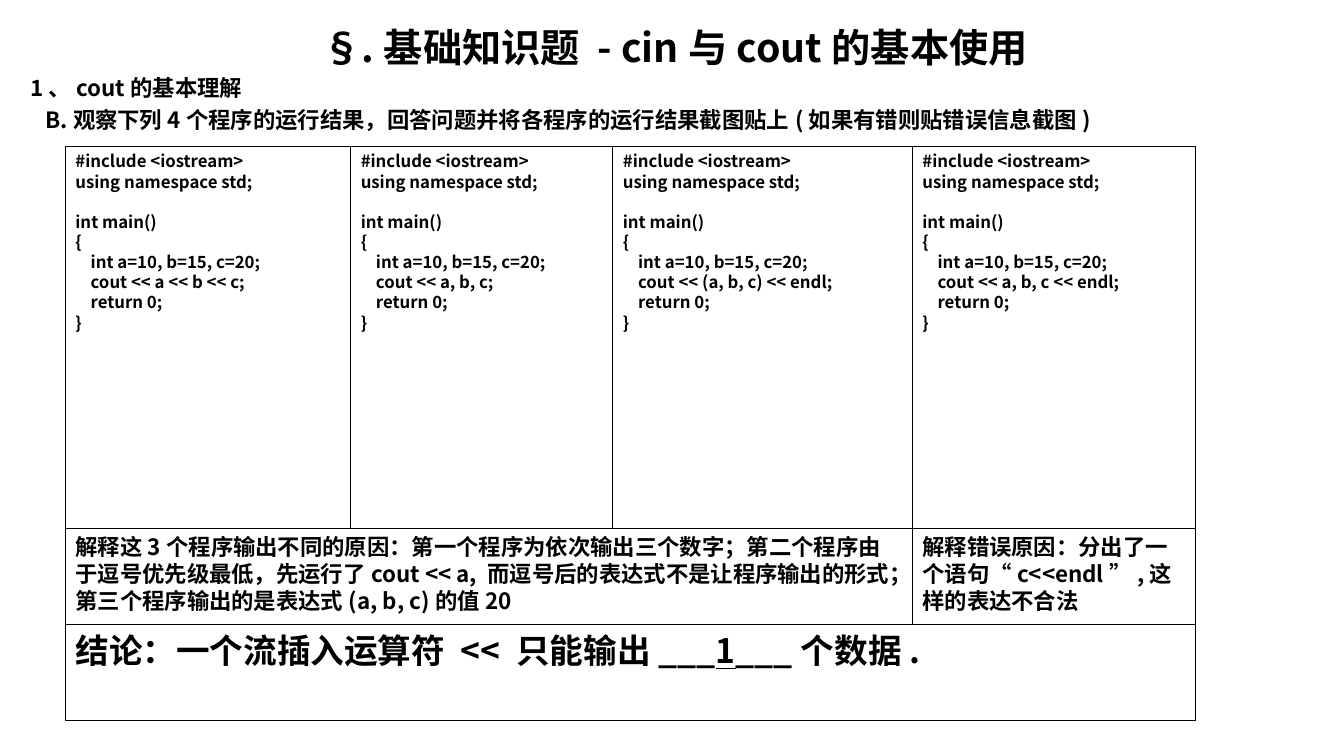
from dataclasses import dataclass

from lxml.etree import SubElement
from pptx import Presentation
from pptx.dml.color import RGBColor
from pptx.enum.shapes import MSO_SHAPE
from pptx.enum.text import MSO_ANCHOR, PP_ALIGN
from pptx.oxml.ns import qn
from pptx.util import Inches, Pt

FONT = "Noto Sans CJK SC"
INK, PAPER = "000000", "FFFFFF"
LINE_PITCH = 1.2

# Grid edges in inches
COLUMNS = (0.65, 3.48, 6.08, 9.05, 11.86)
ROWS = (1.45, 5.24, 6.2, 7.15)

PROGRAM = """#include <iostream>
using namespace std;

int main()
{{
    int a=10, b=15, c=20;
    {statement}
    return 0;
}}"""
STATEMENTS = (
    "cout << a << b << c;",
    "cout << a, b, c;",
    "cout << (a, b, c) << endl;",
    "cout << a, b, c << endl;",
)


@dataclass
class Span:
    text: str
    underline: bool = False


@dataclass
class Cell:
    left: int
    top: int
    right: int
    bottom: int
    lines: list[list[Span]]
    size: int = 16
    fill: str | None = None


def colour(value: str) -> RGBColor:
    return RGBColor.from_string(value)


def write_paragraph(para, spans: list[Span], size: int) -> None:
    para.line_spacing = Pt(size * LINE_PITCH)
    font = para.font
    font.name, font.size, font.bold = FONT, Pt(size), True
    font.color.rgb = colour(INK)
    SubElement(font._element, qn("a:ea"), typeface=FONT)
    for span in spans:
        run = para.add_run()
        run.text = span.text
        if span.underline:
            run.font.underline = True


def draw_cell(page, cell: Cell) -> None:
    left, right = COLUMNS[cell.left], COLUMNS[cell.right]
    top, bottom = ROWS[cell.top], ROWS[cell.bottom]
    box = page.shapes.add_shape(
        MSO_SHAPE.RECTANGLE, Inches(left), Inches(top),
        Inches(right - left), Inches(bottom - top))
    box.shadow.inherit = False
    if cell.fill:
        box.fill.solid()
        box.fill.fore_color.rgb = colour(cell.fill)
    else:
        box.fill.background()
    box.line.color.rgb = colour(INK)
    box.line.width = Pt(0.75)
    frame = box.text_frame
    frame.word_wrap = True
    frame.vertical_anchor = MSO_ANCHOR.TOP
    for index, spans in enumerate(cell.lines):
        para = frame.add_paragraph() if index else frame.paragraphs[0]
        para.alignment = PP_ALIGN.LEFT
        write_paragraph(para, spans, cell.size)


def draw_heading(page) -> None:
    box = page.shapes.add_textbox(Inches(0.2), Inches(0.18), Inches(12.99), Inches(1.27))
    frame = box.text_frame
    frame.word_wrap = True
    title, section, task = frame.paragraphs[0], frame.add_paragraph(), frame.add_paragraph()
    title.alignment = PP_ALIGN.CENTER
    section.space_before = task.space_before = Pt(3.2)
    task._p.get_or_add_pPr().set("marL", str(Inches(0.15)))
    write_paragraph(title, [Span("§.基础知识题 - cin与cout的基本使用")], 28)
    write_paragraph(section, [Span("1、cout的基本理解")], 16)
    write_paragraph(task, [Span(
        "B.观察下列4个程序的运行结果，回答问题并将各程序的运行结果截图贴上"
        "(如果有错则贴错误信息截图)")], 16)


def code_cell(column: int, statement: str) -> Cell:
    program = PROGRAM.format(statement=statement)
    lines = [[Span(line)] if line else [] for line in program.split("\n")]
    return Cell(column, 0, column + 1, 3, lines, size=12)


def main() -> None:
    deck = Presentation()
    deck.slide_width, deck.slide_height = Inches(13.33), Inches(7.5)
    page = deck.slides.add_slide(deck.slide_layouts[6])

    # Heading, then the four programs side by side
    draw_heading(page)
    cells = [code_cell(column, text) for column, text in enumerate(STATEMENTS)]

    # Explanations and conclusion
    cells += [
        Cell(0, 1, 3, 2, [[Span(
            "解释这3个程序输出不同的原因：第一个程序为依次输出三个数字；第二个程序由于逗号优先级最低，"
            "先运行了cout << a, 而逗号后的表达式不是让程序输出的形式；"
            "第三个程序输出的是表达式(a, b, c)的值20")]], fill=PAPER),
        Cell(3, 1, 4, 2, [[Span(
            "解释错误原因：分出了一个语句“c<<endl”,这样的表达不合法")]], fill=PAPER),
        Cell(0, 2, 4, 3, [[
            Span("结论：一个流插入运算符 << 只能输出___"),
            Span("1", underline=True),
            Span("___个数据.")]], size=24, fill=PAPER),
    ]
    for cell in cells:
        draw_cell(page, cell)

    deck.save("out.pptx")


if __name__ == "__main__":
    main()
